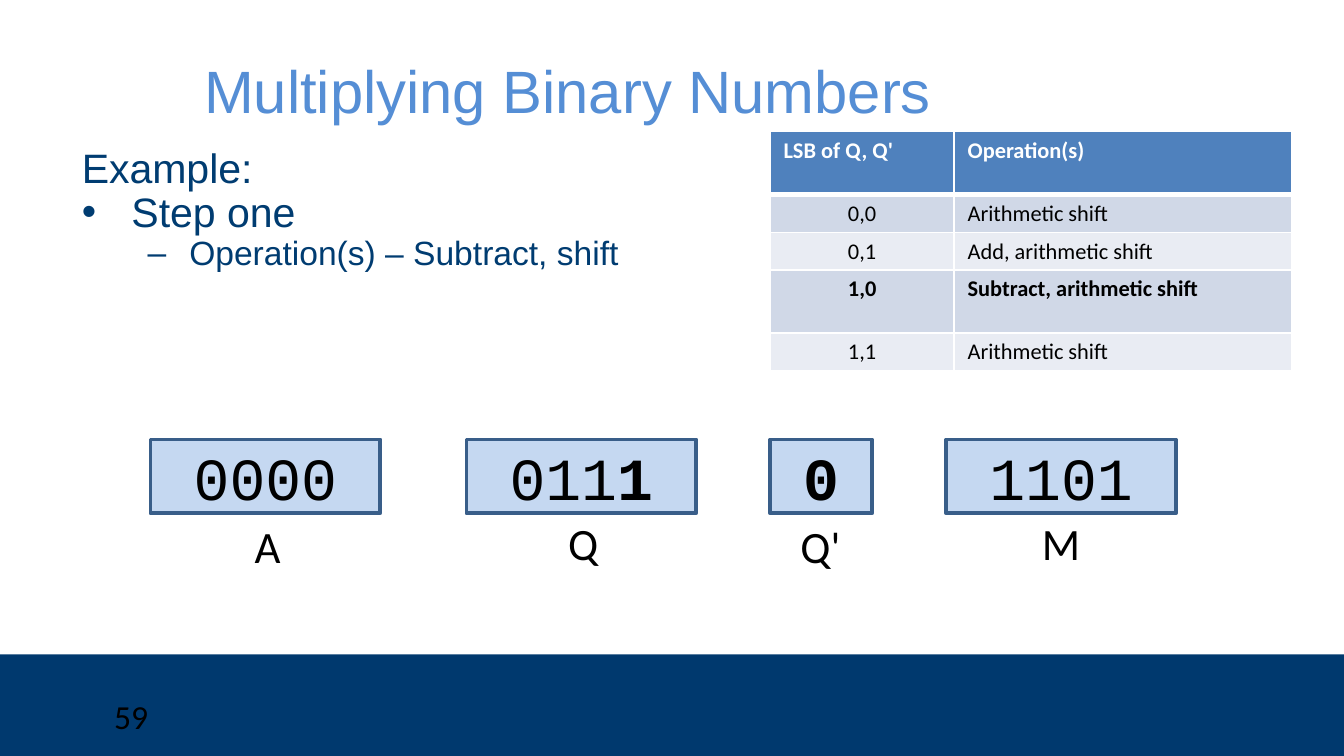
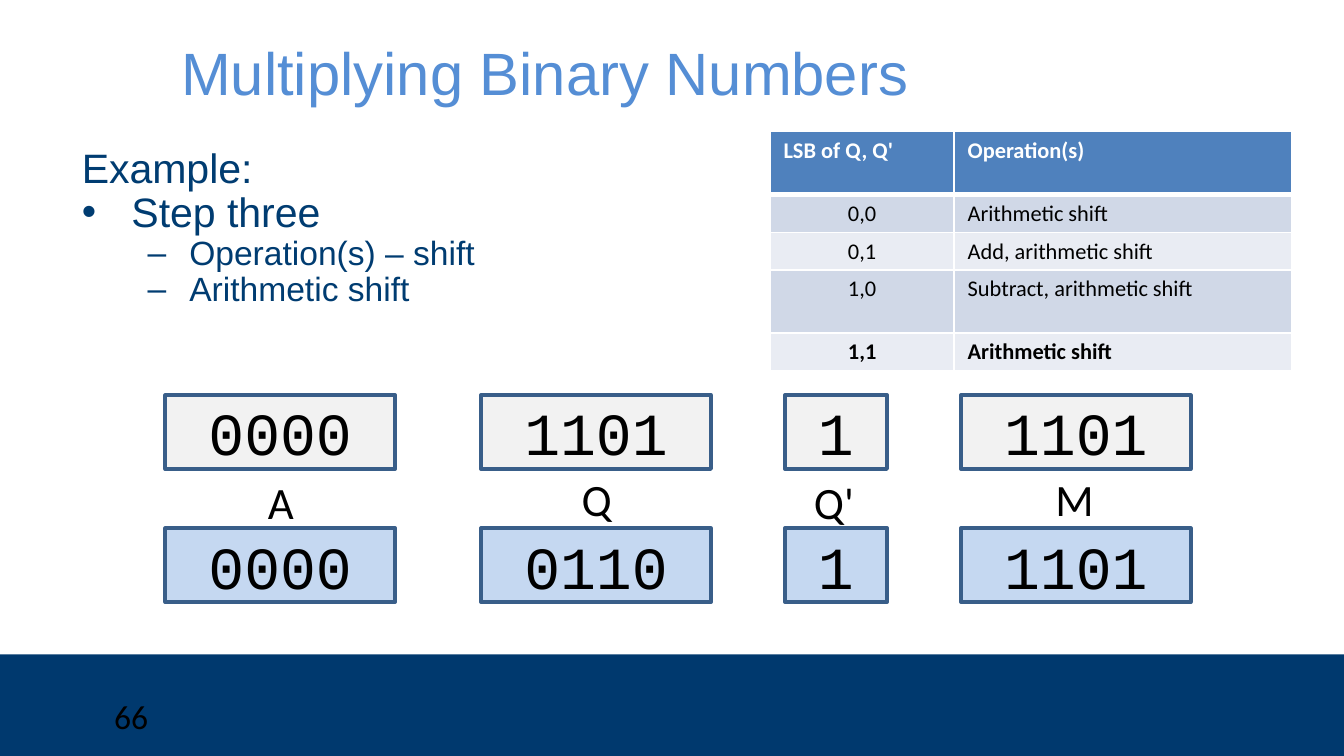
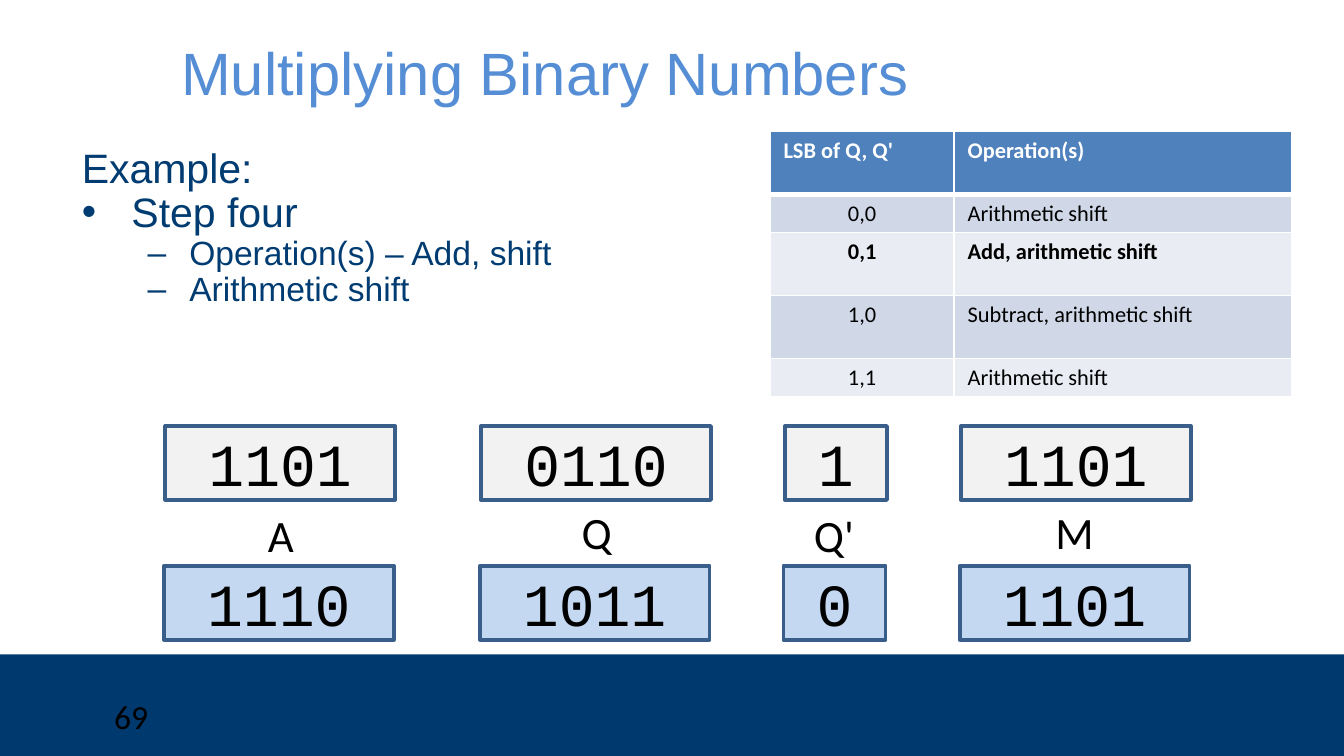
from dataclasses import dataclass

from lxml import etree
from pptx import Presentation
from pptx.dml.color import RGBColor
from pptx.enum import shapes, text
from pptx.oxml import ns
from pptx.util import Inches, Pt


@dataclass(frozen=True)
class Theme:
    sans: str = "Arial"
    plain: str = "Calibri"
    mono: str = "Courier New"
    band: str = "00396E"
    title: str = "558ED5"
    body: str = "003C71"
    ink: str = "000000"
    white: str = "FFFFFF"
    head: str = "4F81BD"
    odd: str = "D0D8E7"
    even: str = "E9ECF3"
    old: str = "F2F2F2"
    new: str = "C5D8F1"
    edge: str = "395E89"
    big: int = 32
    label: int = 24
    lead: int = 22
    sub: int = 18
    small: int = 12


T = Theme()
MID = text.MSO_ANCHOR.MIDDLE
CENTER = text.PP_ALIGN.CENTER

# Box left and width of each register
BOXES = [(1.12, 1.71), (3.47, 1.71), (5.73, 0.76), (7.04, 1.71)]
# Name, left, width and drop of each register label
NAMES = [
    ("A", 1.78, 0.42, 0.02),
    ("Q", 4.11, 0.46, 0),
    ("Q'", 5.83, 0.55, 0.02),
    ("M", 7.65, 0.49, 0),
]
RULES = [
    ("LSB of Q, Q'", "Operation(s)"),
    ("0,0", "Arithmetic shift"),
    ("0,1", "Add, arithmetic shift"),
    ("1,0", "Subtract, arithmetic shift"),
    ("1,1", "Arithmetic shift"),
]
TALL, LOW = 0.47, 0.27


def color(code):
    return RGBColor.from_string(code)


def add_run(para, words, face, size, tint, bold=False):
    run = para.add_run()
    run.text = words
    font = run.font
    font.name, font.size, font.bold = face, Pt(size), bold
    font.color.rgb = color(tint)


def add_text(slide, box, words, face, size, tint, align=None, wrap=True):
    shape = slide.shapes.add_textbox(*map(Inches, box))
    frame = shape.text_frame
    frame.word_wrap = wrap
    para = frame.paragraphs[0]
    para.alignment = align
    add_run(para, words, face, size, tint)
    return frame


def add_rect(slide, box, fill, edge=None):
    rect = slide.shapes.add_shape(shapes.MSO_SHAPE.RECTANGLE, *map(Inches, box))
    rect.shadow.inherit = False
    rect.fill.solid()
    rect.fill.fore_color.rgb = color(fill)
    if edge:
        rect.line.color.rgb = color(edge)
        rect.line.width = Pt(2)
    else:
        rect.line.fill.background()
    return rect


def add_base(prs, number, left, top):
    """Start a slide with its band, page number and title."""
    slide = prs.slides.add_slide(prs.slide_layouts[6])
    add_rect(slide, (0, 4.87, 10, 0.76), T.band)
    add_text(slide, (0.75, 5.13, 2.08, 0.37), number, T.plain, T.sub, T.ink)
    frame = add_text(slide, (left, top, 7.5, 0.45), "Multiplying Binary Numbers",
                     T.sans, T.big, T.title)
    frame.vertical_anchor = MID
    return slide


def set_mark(para, mark, left, hang):
    """Give a paragraph its hanging indent and bullet."""
    props = para._p.get_or_add_pPr()
    props.set("marL", str(Inches(left)))
    props.set("indent", str(Inches(-hang)))
    if not mark:
        etree.SubElement(props, ns.qn("a:buNone"))
        return
    tint = etree.SubElement(props, ns.qn("a:buClr"))
    etree.SubElement(tint, ns.qn("a:srgbClr"), val=T.body)
    etree.SubElement(props, ns.qn("a:buFont"), typeface=T.sans)
    etree.SubElement(props, ns.qn("a:buChar"), char=mark)


def add_body(slide, step, notes):
    box = slide.shapes.add_textbox(*map(Inches, (0.5, 1.05, 8.71, 3.5)))
    frame = box.text_frame
    frame.word_wrap = True
    lines = [("Example:", None), (step, "•")] + [(note, "–") for note in notes]
    for i, (words, mark) in enumerate(lines):
        para = frame.add_paragraph() if i else frame.paragraphs[0]
        deep = mark == "–"
        set_mark(para, mark, *((0.81, 0.31) if deep else (0.38, 0.37)))
        para.level = int(deep)
        para.line_spacing = 0.9
        add_run(para, words, T.sans, T.sub if deep else T.lead, T.body)


def set_edges(cell, row):
    """Draw white cell borders, thick between header and first row."""
    props = cell._tc.get_or_add_tcPr()
    thick = {"T": row == 1, "B": row == 0}
    for side in "LRTB":
        width = Pt(3 if thick.get(side) else 0.96)
        line = etree.SubElement(props, ns.qn("a:ln" + side), w=str(width))
        fill = etree.SubElement(line, ns.qn("a:solidFill"))
        etree.SubElement(fill, ns.qn("a:srgbClr"), val=T.white)


def add_rules(slide, active, tall):
    """Add the operation table with the active row in bold."""
    highs = [TALL if r in tall else LOW for r in range(len(RULES))]
    table = slide.shapes.add_table(
        len(RULES), 2, Inches(5.73), Inches(0.98), Inches(3.88), Inches(sum(highs))
    ).table
    for col, width in zip(table.columns, (1.37, 2.51)):
        col.width = Inches(width)
    for r, (row, high) in enumerate(zip(RULES, highs)):
        table.rows[r].height = Inches(high)
        for c, words in enumerate(row):
            cell = table.cell(r, c)
            cell.margin_top = cell.margin_bottom = Inches(0.04)
            set_edges(cell, r)
            cell.fill.solid()
            shade = T.head if r == 0 else T.odd if r % 2 else T.even
            cell.fill.fore_color.rgb = color(shade)
            para = cell.text_frame.paragraphs[0]
            if r and c == 0:
                para.alignment = CENTER
            add_run(para, words, T.plain, T.small, T.ink if r else T.white,
                    r in (0, active))


def add_regs(slide, shift, top, fill, values):
    """Add a row of register boxes; bits after * are bold."""
    for (left, width), value in zip(BOXES, values):
        rect = add_rect(slide, (left + shift, top, width, 0.55), fill, T.edge)
        frame = rect.text_frame
        frame.vertical_anchor = MID
        para = frame.paragraphs[0]
        para.alignment = CENTER
        plain, _, strong = value.partition("*")
        for bits, bold in ((plain, False), (strong, True)):
            if bits:
                add_run(para, bits, T.mono, T.big, T.ink, bold)


def add_names(slide, shift, top):
    for name, left, width, drop in NAMES:
        add_text(slide, (left + shift, top + drop, width, 0.37), name, T.plain,
                 T.label, T.ink, CENTER, wrap=False)


def main():
    prs = Presentation()
    prs.slide_width = Inches(10)
    prs.slide_height = prs.slide_width * 9 // 16

    slide = add_base(prs, "59", 1.42, 0.44)
    add_body(slide, "Step one", ["Operation(s) – Subtract, shift"])
    add_rules(slide, 3, (0, 3))
    add_regs(slide, 0, 3.27, T.new, ("0000", "011*1", "*0", "1101"))
    add_names(slide, 0, 3.79)

    slide = add_base(prs, "66", 1.25, 0.31)
    add_body(slide, "Step three", ["Operation(s) – shift", "Arithmetic shift"])
    add_rules(slide, 4, (0, 3))
    add_names(slide, 0.1, 3.46)
    add_regs(slide, 0.11, 2.94, T.old, ("0000", "1101", "1", "1101"))
    add_regs(slide, 0.11, 3.93, T.new, ("0000", "0110", "1", "1101"))

    slide = add_base(prs, "69", 1.25, 0.31)
    add_body(slide, "Step four", ["Operation(s) – Add, shift", "Arithmetic shift"])
    add_rules(slide, 2, (0, 2, 3))
    add_names(slide, 0.1, 3.71)
    add_regs(slide, 0.11, 3.17, T.old, ("1101", "0110", "1", "1101"))
    add_regs(slide, 0.1, 4.21, T.new, ("1110", "1011", "0", "1101"))

    prs.save("out.pptx")


if __name__ == "__main__":
    main()
